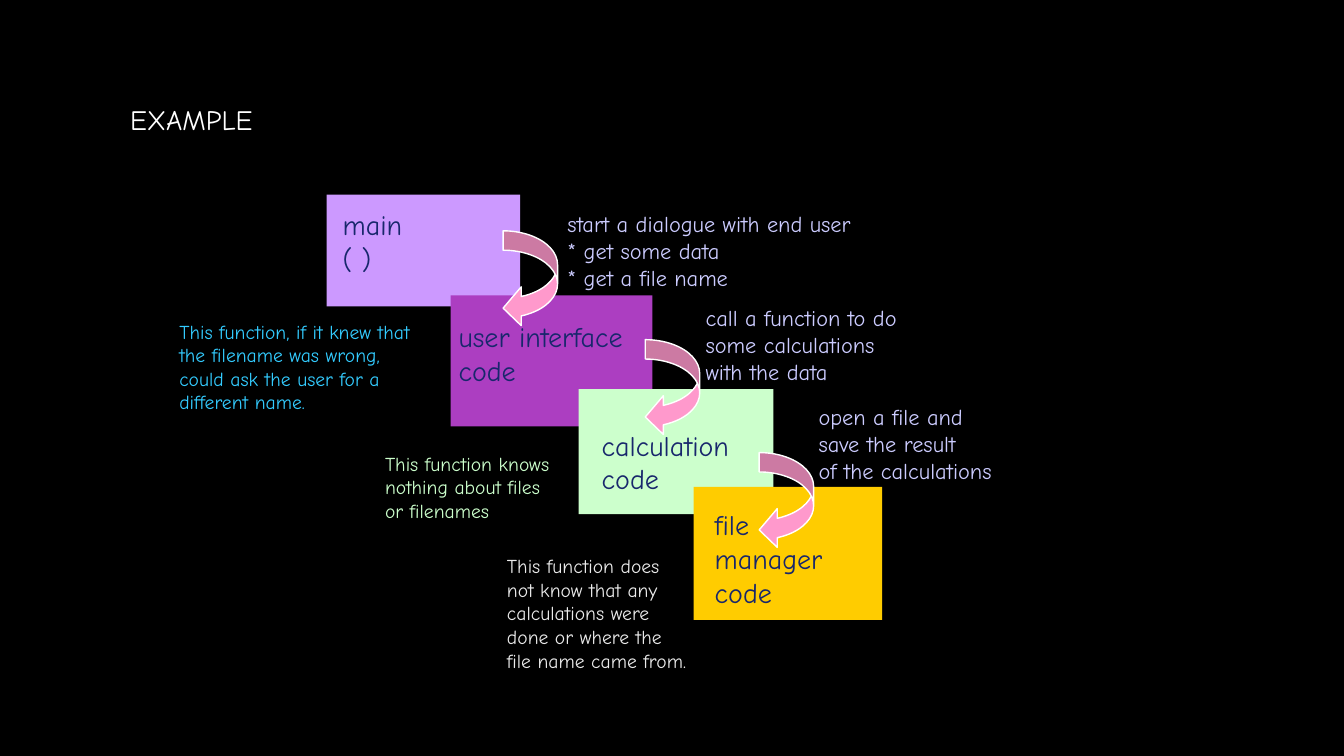
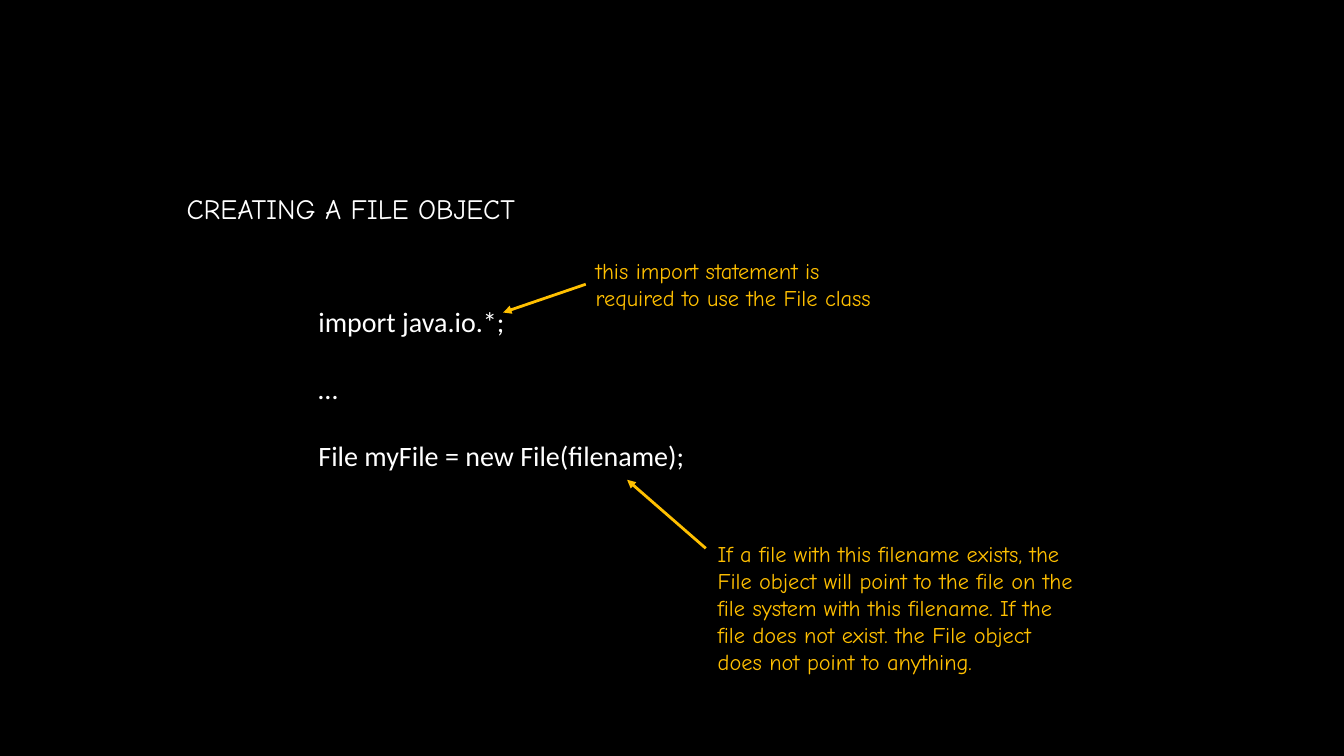
from lxml.etree import SubElement
from pptx import Presentation
from pptx.dml.color import RGBColor
from pptx.enum.shapes import MSO_CONNECTOR, MSO_SHAPE
from pptx.enum.text import MSO_ANCHOR, MSO_AUTO_SIZE, PP_ALIGN
from pptx.oxml.ns import qn
from pptx.util import Inches, Pt

BLACK = RGBColor(0x00, 0x00, 0x00)
WHITE = RGBColor(0xFF, 0xFF, 0xFF)
NAVY = RGBColor(0x18, 0x27, 0x6C)
LILAC = RGBColor(0xCC, 0x99, 0xFF)
PURPLE = RGBColor(0xAC, 0x3E, 0xC1)
MINT = RGBColor(0xCC, 0xFF, 0xCC)
YELLOW = RGBColor(0xFF, 0xCC, 0x00)
PINK = RGBColor(0xFF, 0x99, 0xCC)
LAVENDER = RGBColor(0xCC, 0xCC, 0xFF)
SKY = RGBColor(0x33, 0xCC, 0xFF)
PALE_GREY = RGBColor(0xEB, 0xEB, 0xEB)
AMBER = RGBColor(0xFF, 0xC0, 0x00)

HEADING = {"name": "Comic Neue", "size": Pt(20)}
CALL = {"name": "Comic Neue", "size": Pt(16)}
REMARK = {"name": "Comic Neue", "size": Pt(14)}
CODE = {"name": "Calibri", "size": Pt(20)}

# Places are (left, top, width, height) in inches.
EXAMPLE_TITLE = ("EXAMPLE", (1.19, 0.95, 2.26, 0.47))
MODULES = [
    # block, colour, label place, label
    ((3.24, 1.93, 1.92, 1.11), LILAC, (3.3, 2.01, 1.15, 0.77), ["main\v( )"]),
    ((4.47, 2.93, 2, 1.3), PURPLE, (4.45, 3.12, 2.07, 0.77),
     ["user interface", "code"]),
    ((5.74, 3.86, 1.93, 1.24), MINT, (5.87, 4.2, 1.57, 0.77),
     ["calculation", "code"]),
    ((6.88, 4.83, 1.87, 1.32), YELLOW, (6.99, 4.99, 1.28, 1.1),
     ["file", "manager", "code"]),
]
CALL_ARROW_SIZE = (0.54, 0.96)
CALL_ARROW_BENDS = (0.356, 0.712, 0.333)
CALLS = [
    # arrow corner, text place, text
    ((4.99, 2.29), (5.53, 2.04, 3.29, 0.9),
     ["start a dialogue with end user", "* get some data", "* get a file name"]),
    ((6.4, 3.37), (6.9, 2.97, 2.28, 0.9),
     ["call a function to do", "some calculations", "with the data"]),
    ((7.53, 4.49), (8.02, 3.95, 2.12, 0.9),
     ["open a file and", "save the result", "of the calculations"]),
]
REMARKS = [
    ((4.93, 5.45, 2.11, 1.28), PALE_GREY,
     ["This function does", "not know that any", "calculations were",
      "done or where the", "file name came from."]),
    ((3.72, 4.43, 2.02, 0.81), MINT,
     ["This function knows", "nothing about files", "or filenames"]),
    ((1.68, 3.12, 2.86, 1.04), SKY,
     ["This function, if it knew that", "the filename was wrong,",
      "could ask the user for a", "different name."]),
]

FILE_TITLE = ("CREATING A FILE OBJECT", (1.75, 1.85, 4.06, 0.44))
CODE_PLACE = (3.06, 2.97, 3.94, 1.78)
CODE_LINES = ["import java.io.*;", "…", "File myFile = new File(filename);"]
CODE_GAP = Pt(24)
IMPORT_NOTE = ((5.81, 2.5, 3.37, 0.64),
               ["this import statement is", "required to use the File class"])
IMPORT_POINTER = ((5.81, 2.82), (4.99, 3.1))
FILENAME_NOTE = ((7.02, 5.31, 4.3, 1.45),
                 ["If a file with this filename exists, the",
                  "File object will point to the file on the",
                  "file system with this filename. If the",
                  "file does not exist. the File object",
                  "does not point to anything."])
FILENAME_POINTER = ((7, 5.44), (6.22, 4.76))


def inches(values):
    return [Inches(value) for value in values]


def write(frame, lines, style, color, gap=Pt(0)):
    """Fill a text frame with one paragraph a line, gap apart."""
    frame.word_wrap = True
    frame.text = "\n".join(lines)
    for number, paragraph in enumerate(frame.paragraphs):
        paragraph.alignment = PP_ALIGN.LEFT
        paragraph.space_before = gap if number else Pt(0)
        for run in paragraph.runs:
            run.font.color.rgb = color
            for key, value in style.items():
                setattr(run.font, key, value)


def add_text(slide, place, lines, style, color, gap=Pt(0)):
    text = slide.shapes.add_textbox(*inches(place))
    write(text.text_frame, lines, style, color, gap)
    return text


def add_filled(slide, preset, place, color):
    filled = slide.shapes.add_shape(preset, *inches(place))
    filled.shadow.inherit = False
    filled.fill.solid()
    filled.fill.fore_color.rgb = color
    filled.line.fill.background()
    return filled


def add_pointer(slide, ends):
    start, tip = ends
    pointer = slide.shapes.add_connector(
        MSO_CONNECTOR.STRAIGHT, *inches(start + tip))
    pointer.line.color.rgb = AMBER
    pointer.line.width = Pt(2)
    SubElement(pointer.line._get_or_add_ln(), qn("a:tailEnd"), type="triangle")
    SubElement(pointer._element.spPr, qn("a:effectLst"))
    return pointer


def add_titled_slide(deck, title, place):
    slide = deck.slides.add_slide(deck.slide_layouts[5])
    heading = slide.shapes.title
    heading.left, heading.top, heading.width, heading.height = inches(place)
    write(heading.text_frame, [title], HEADING, WHITE)
    heading.text_frame.auto_size = MSO_AUTO_SIZE.NONE
    heading.text_frame.vertical_anchor = MSO_ANCHOR.MIDDLE
    return slide


def build_example(deck):
    slide = add_titled_slide(deck, *EXAMPLE_TITLE)
    for block, color, label_place, label in MODULES:
        add_filled(slide, MSO_SHAPE.RECTANGLE, block, color)
        add_text(slide, label_place, label, HEADING, NAVY)
    for corner, place, lines in CALLS:
        arrow = add_filled(slide, MSO_SHAPE.CURVED_LEFT_ARROW,
                           corner + CALL_ARROW_SIZE, PINK)
        arrow.line.color.rgb = WHITE
        arrow.line.width = Pt(1)
        for index, bend in enumerate(CALL_ARROW_BENDS):
            arrow.adjustments[index] = bend
        add_text(slide, place, lines, CALL, LAVENDER)
    for place, color, lines in REMARKS:
        add_text(slide, place, lines, REMARK, color)


def build_file_object(deck):
    slide = add_titled_slide(deck, *FILE_TITLE)
    add_text(slide, CODE_PLACE, CODE_LINES, CODE, WHITE, CODE_GAP)
    import_note = add_text(slide, *IMPORT_NOTE, CALL, AMBER)
    add_pointer(slide, IMPORT_POINTER).begin_connect(import_note, 1)
    add_text(slide, *FILENAME_NOTE, CALL, AMBER)
    add_pointer(slide, FILENAME_POINTER)


def main():
    deck = Presentation()
    deck.slide_width, deck.slide_height = inches((13.33, 7.5))
    backdrop = deck.slide_master.background.fill
    backdrop.solid()
    backdrop.fore_color.rgb = BLACK
    build_example(deck)
    build_file_object(deck)
    deck.save("out.pptx")


if __name__ == "__main__":
    main()
